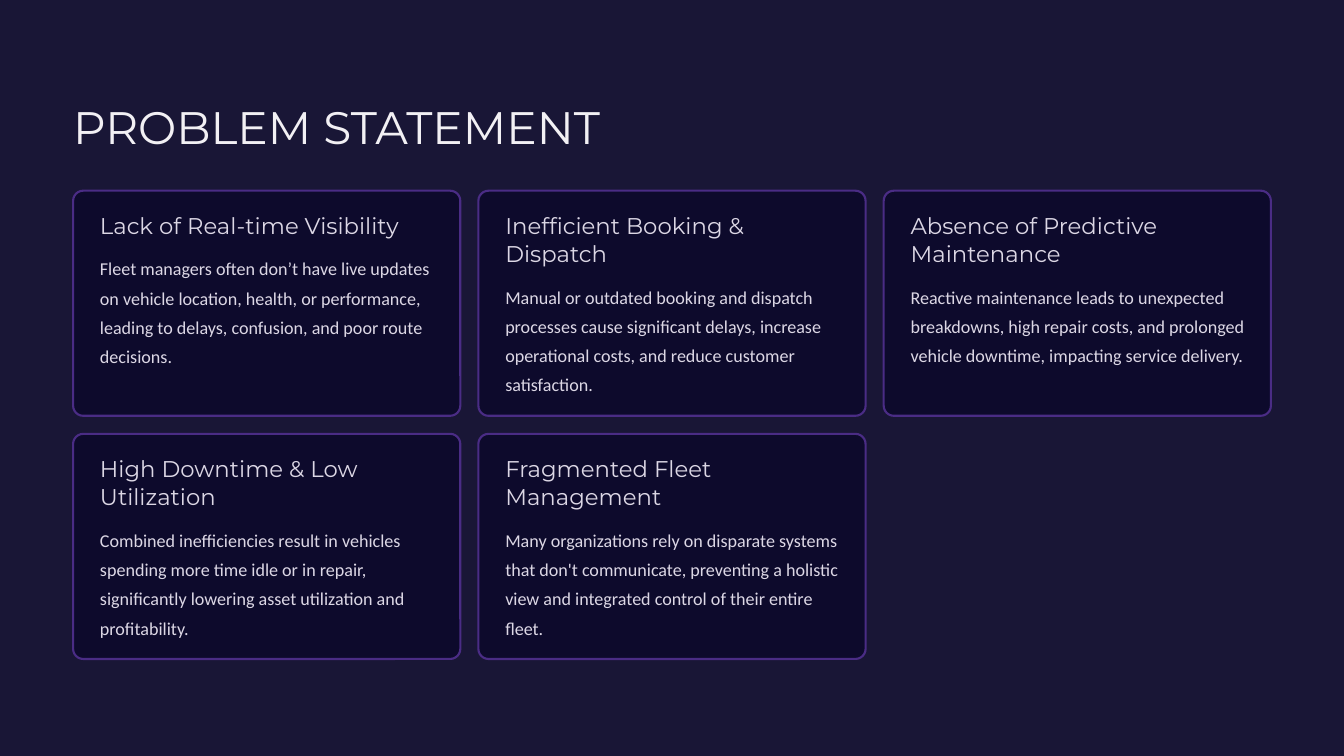
from lxml.etree import SubElement
from pptx import Presentation
from pptx.dml.color import RGBColor
from pptx.enum.shapes import MSO_SHAPE as Shape
from pptx.oxml.ns import qn
from pptx.util import Inches, Pt

NAVY, VIOLET, WHITE, PALE = "0D0A2C", "4A2C85", "F2F0F4", "DCD7E5"
LEFT, TOP = 0.87, 2.27
WIDE, HIGH = 4.61, 2.68
GAP = 0.215
PAD_X, PAD_Y = 0.32, 0.24
LINE = 0.34
COLS = 3

# heading, number of heading lines, body
CARDS = [
    ("Lack of Real-time Visibility", 1,
     "Fleet managers often don’t have live updates on vehicle location, health, "
     "or performance, leading to delays, confusion, and poor route decisions."),
    ("Inefficient Booking & Dispatch", 2,
     "Manual or outdated booking and dispatch processes cause significant delays, "
     "increase operational costs, and reduce customer satisfaction."),
    ("Absence of Predictive Maintenance", 2,
     "Reactive maintenance leads to unexpected breakdowns, high repair costs, "
     "and prolonged vehicle downtime, impacting service delivery."),
    ("High Downtime & Low Utilization", 2,
     "Combined inefficiencies result in vehicles spending more time idle or in "
     "repair, significantly lowering asset utilization and profitability."),
    ("Fragmented Fleet Management", 2,
     "Many organizations rely on disparate systems that don't communicate, "
     "preventing a holistic view and integrated control of their entire fleet."),
]


def paint(fill, color, alpha=None):
    """Set a solid fill; alpha is its opacity in percent."""
    fill.solid()
    fill.fore_color.rgb = RGBColor.from_string(color)
    if alpha:
        tone = fill._xPr.find(qn("a:solidFill"))[0]
        SubElement(tone, qn("a:alpha"), val=str(alpha * 1000))


def write(text, x, y, w, h, size, line, font="Montserrat", color=PALE, wrap=True):
    box = slide.shapes.add_textbox(Inches(x), Inches(y), Inches(w), Inches(h))
    frame = box.text_frame
    frame.word_wrap = wrap
    frame.margin_left = frame.margin_right = 0
    frame.margin_top = frame.margin_bottom = 0
    par = frame.paragraphs[0]
    par.line_spacing = Pt(line)
    run = par.add_run()
    run.text = text
    run.font.size = Pt(size)
    run.font.name = font
    paint(run.font.fill, color)


deck = Presentation()
deck.slide_width, deck.slide_height = Inches(16), Inches(9)
slide = deck.slides.add_slide(deck.slide_layouts[6])
paint(slide.background.fill, "191636")

write("PROBLEM STATEMENT", LEFT, 1.15, 6.28, 0.68, 39, 48.5, color=WHITE, wrap=False)

for i, (head, lines, body) in enumerate(CARDS):
    row, col = divmod(i, COLS)
    x = LEFT + col * (WIDE + GAP)
    y = TOP + row * (HIGH + GAP)
    card = slide.shapes.add_shape(
        Shape.ROUNDED_RECTANGLE, Inches(x), Inches(y), Inches(WIDE), Inches(HIGH))
    card.adjustments[0] = 0.045
    card.shadow.inherit = False
    paint(card.fill, NAVY, alpha=95)
    paint(card.line.fill, VIOLET)
    card.line.width = Pt(1.8)

    x, y = x + PAD_X, y + PAD_Y
    deep = lines * LINE
    write(head, x, y, 4.05, deep, 19.5, 24, wrap=lines > 1)
    write(body, x, y + deep + 0.13, 4.05, 1.39, 15.5, 25, font="Calibri")

deck.save("out.pptx")
